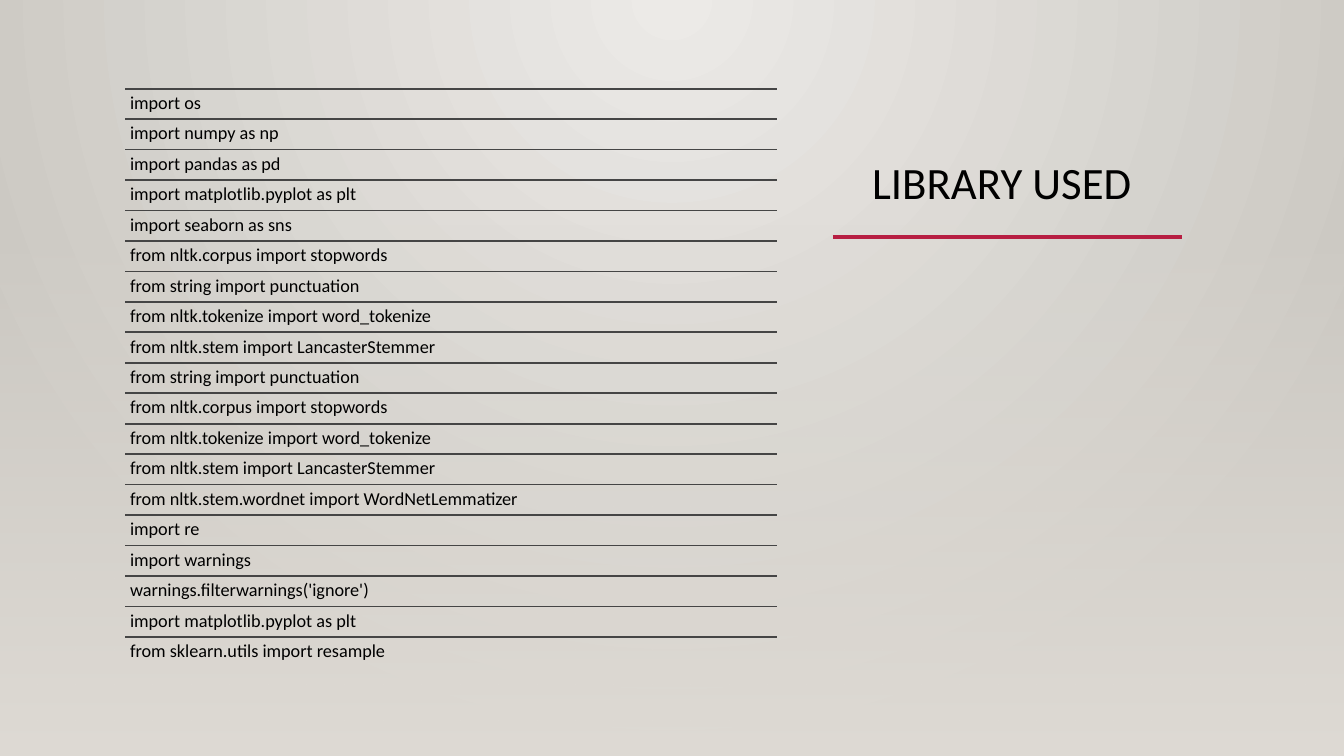
from dataclasses import dataclass

from lxml import etree
from pptx import Presentation
from pptx.dml.color import RGBColor
from pptx.enum.shapes import MSO_CONNECTOR, MSO_SHAPE
from pptx.enum.text import MSO_ANCHOR, MSO_AUTO_SIZE, PP_ALIGN
from pptx.oxml.ns import qn
from pptx.util import Inches, Pt

STRAIGHT = MSO_CONNECTOR.STRAIGHT
RECTANGLE = MSO_SHAPE.RECTANGLE
TOP = MSO_ANCHOR.TOP
LEFT = PP_ALIGN.LEFT
NO_AUTOFIT = MSO_AUTO_SIZE.NONE

FONT = "Calibri"
COLORS = {
    "glow": "ECEAE7",
    "edge": "CAC7C1",
    "veil": "DFDBD5",
    "accent": "B71E42",
    "rule": "454545",
    "text": "000000",
}
SLIDE_WIDTH, SLIDE_HEIGHT = 13.33, 7.5
LIST_LEFT, LIST_TOP, LIST_WIDTH, LIST_HEIGHT = 1.24, 0.88, 6.47, 5.74
IMPORTS = [
    "import os",
    "import numpy as np",
    "import pandas as pd",
    "import matplotlib.pyplot as plt",
    "import seaborn as sns",
    "from nltk.corpus import stopwords",
    "from string import punctuation",
    "from nltk.tokenize import word_tokenize",
    "from nltk.stem import LancasterStemmer",
    "from string import punctuation",
    "from nltk.corpus import stopwords",
    "from nltk.tokenize import word_tokenize",
    "from nltk.stem import LancasterStemmer",
    "from nltk.stem.wordnet import WordNetLemmatizer",
    "import re",
    "import warnings",
    "warnings.filterwarnings('ignore')",
    "import matplotlib.pyplot as plt",
    "from sklearn.utils import resample",
]


@dataclass
class Backdrop:
    top: float
    start: str
    end: str
    radial: bool


@dataclass
class Rule:
    left: float
    top: float
    width: float
    color: str
    weight: float


BACKDROPS = [
    Backdrop(0, "glow", "edge", True),
    Backdrop(2.21, "veil", "veil", False),
]
TITLE_RULE = Rule(8.26, 2.35, 3.46, "accent", 2.5)


def rgb(name: str) -> RGBColor:
    return RGBColor.from_string(COLORS[name])


def draw_backdrop(shapes, backdrop: Backdrop) -> None:
    """Draw a gradient that runs from its top to the foot of the slide."""
    shape = shapes.add_shape(
        RECTANGLE, 0, Inches(backdrop.top),
        Inches(SLIDE_WIDTH), Inches(SLIDE_HEIGHT - backdrop.top))
    shape.shadow.inherit = False
    shape.line.fill.background()
    shape.fill.gradient()
    shape.fill.gradient_angle = 270
    for stop, name in zip(shape.fill.gradient_stops, (backdrop.start, backdrop.end)):
        stop.color.rgb = rgb(name)
    gradient = shape._element.spPr.find(qn("a:gradFill"))
    if backdrop.radial:
        # Circle centred on the top edge
        gradient.remove(gradient.find(qn("a:lin")))
        circle = etree.SubElement(gradient, qn("a:path"), {"path": "circle"})
        etree.SubElement(circle, qn("a:fillToRect"),
                         {"l": "43000", "r": "43000", "b": "100000"})
    else:
        # Fade in from full transparency
        first_color = gradient.find(".//" + qn("a:srgbClr"))
        etree.SubElement(first_color, qn("a:alpha"), {"val": "0"})


def draw_rule(shapes, rule: Rule) -> None:
    connector = shapes.add_connector(
        STRAIGHT, Inches(rule.left), Inches(rule.top),
        Inches(rule.left + rule.width), Inches(rule.top))
    connector.line.color.rgb = rgb(rule.color)
    connector.line.width = Pt(rule.weight)
    etree.SubElement(connector._element.spPr, qn("a:effectLst"))


def write_text(shape, text: str, size: float) -> None:
    frame = shape.text_frame
    frame.text = text
    frame.word_wrap = True
    frame.auto_size = NO_AUTOFIT
    frame.vertical_anchor = TOP
    paragraph = frame.paragraphs[0]
    paragraph.alignment = LEFT
    paragraph.line_spacing = 0.9
    paragraph.font.name = FONT
    paragraph.font.size = Pt(size)
    paragraph.font.color.rgb = rgb("text")


def draw_title(slide) -> None:
    title = slide.shapes.title
    title.left, title.top = Inches(8.55), Inches(1.54)
    title.width, title.height = Inches(3.16), Inches(0.98)
    write_text(title, "LIBRARY USED", 32)


def draw_import_list(shapes) -> None:
    group = shapes.add_group_shape()
    row_height = LIST_HEIGHT / len(IMPORTS)
    for index, statement in enumerate(IMPORTS):
        top = LIST_TOP + index * row_height
        draw_rule(group.shapes, Rule(LIST_LEFT, top, LIST_WIDTH, "rule", 1.25))
        box = group.shapes.add_textbox(
            Inches(LIST_LEFT), Inches(top), Inches(LIST_WIDTH), Inches(row_height))
        frame = box.text_frame
        frame.margin_left = frame.margin_right = Inches(0.05)
        frame.margin_top = frame.margin_bottom = Inches(0.05)
        write_text(box, statement, 13)


def main() -> None:
    presentation = Presentation()
    presentation.slide_width = Inches(SLIDE_WIDTH)
    presentation.slide_height = Inches(SLIDE_HEIGHT)
    slide = presentation.slides.add_slide(presentation.slide_layouts[5])

    # Background gradients, kept behind the title
    for backdrop in BACKDROPS:
        draw_backdrop(slide.shapes, backdrop)
    slide.shapes._spTree.append(slide.shapes.title._element)

    # Title with its underline
    draw_title(slide)
    draw_rule(slide.shapes, TITLE_RULE)

    # Ruled list of import statements
    draw_import_list(slide.shapes)

    presentation.save("out.pptx")


if __name__ == "__main__":
    main()
